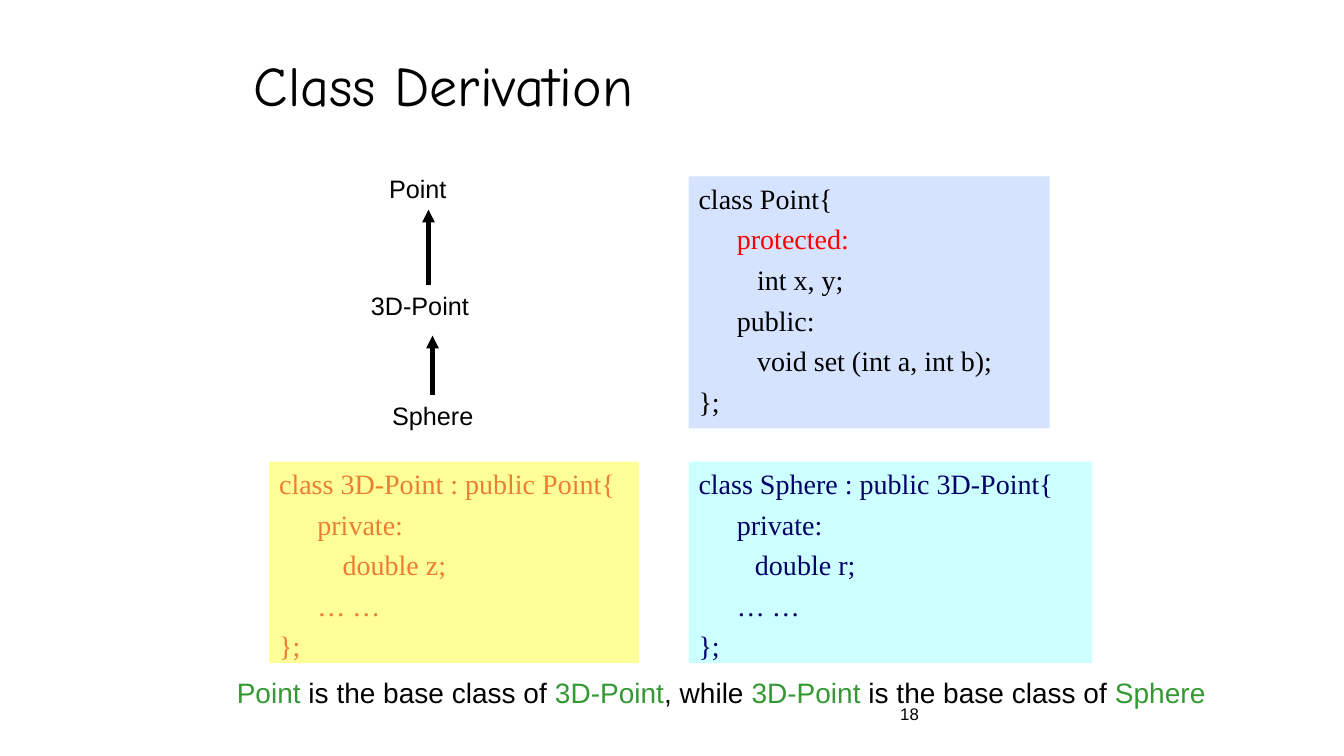
from lxml import etree
from pptx import Presentation
from pptx import util as u
from pptx.dml.color import RGBColor
from pptx.enum import shapes, text
from pptx.oxml.ns import qn

BLACK, RED, GREEN, ORANGE, NAVY = "000000", "FF0000", "339933", "ED7D31", "000066"


def color(value):
    return RGBColor.from_string(value)


def write(paragraph, content, font="Arial", size=18, fill=BLACK):
    run = paragraph.add_run()
    run.text = content
    run.font.name = font
    run.font.size = u.Pt(size)
    run.font.color.rgb = color(fill)


class Deck:
    """Holds the slide style and adds each kind of element to the current slide."""

    code_font = "Times New Roman"
    code_size = 20
    code_gap = u.Pt(5)
    arrow_width = u.Pt(3)

    def __init__(self, presentation):
        self.slide = presentation.slides.add_slide(presentation.slide_layouts[6])

    def label(self, box, runs, wrap=False, middle=False, spacing=None, **style):
        shape = self.slide.shapes.add_textbox(*map(u.Inches, box))
        frame = shape.text_frame
        frame.word_wrap = wrap
        frame.vertical_anchor = text.MSO_ANCHOR.MIDDLE if middle else text.MSO_ANCHOR.TOP
        paragraph = frame.paragraphs[0]
        if spacing:
            paragraph.line_spacing = spacing
        for content, fill in runs:
            write(paragraph, content, fill=fill, **style)

    def code(self, box, background, lines):
        shape = self.slide.shapes.add_shape(
            shapes.MSO_SHAPE.RECTANGLE, *map(u.Inches, box))
        shape.shadow.inherit = False
        shape.fill.solid()
        shape.fill.fore_color.rgb = color(background)
        shape.line.fill.background()
        frame = shape.text_frame
        frame.word_wrap = True
        frame.vertical_anchor = text.MSO_ANCHOR.TOP
        for index, (indent, content, fill) in enumerate(lines):
            paragraph = frame.add_paragraph() if index else frame.paragraphs[0]
            paragraph.alignment = text.PP_ALIGN.LEFT
            paragraph.space_before = self.code_gap
            paragraph._p.get_or_add_pPr().set("marL", str(u.Inches(indent)))
            write(paragraph, content, font=self.code_font, size=self.code_size, fill=fill)

    def arrow(self, x, tip, tail):
        connector = self.slide.shapes.add_connector(
            shapes.MSO_CONNECTOR.STRAIGHT, *map(u.Inches, (x, tip, x, tail)))
        connector.line.color.rgb = color(BLACK)
        connector.line.width = self.arrow_width
        line = connector.line._get_or_add_ln()
        etree.SubElement(line, qn("a:headEnd"), type="triangle")
        etree.SubElement(connector._element.spPr, qn("a:effectLst"))


def main():
    presentation = Presentation()
    presentation.slide_width = u.Inches(13.33)
    presentation.slide_height = u.Inches(7.5)
    deck = Deck(presentation)

    deck.label((8.83, 6.83, 2.08, 0.5), [("18", BLACK)], wrap=True, middle=True, size=12)
    deck.label((2.42, 0.5, 8.5, 0.75), [("Class Derivation", BLACK)], wrap=True,
               middle=True, spacing=0.9, font="Comic Neue", size=40)

    for name, left, top, width in (("Point", 3.76, 1.67, 0.78),
                                   ("3D-Point", 3.58, 2.83, 1.18),
                                   ("Sphere", 3.79, 3.92, 1.02)):
        deck.label((left, top, width, 0.4), [(name, BLACK)])
    deck.arrow(4.25, 2.08, 2.83)
    deck.arrow(4.29, 3.33, 3.92)

    section = 0.38
    deck.code((6.83, 1.75, 3.58, 2.5), "D5E3FF", [
        (0, "class Point{", BLACK),
        (section, "protected:", RED),
        (0.58, "int x, y;", BLACK),
        (section, "public:", BLACK),
        (0.58, "void set (int a, int b);", BLACK),
        (0, "};", BLACK)])

    for left, width, background, fill, heading, indent, member in (
            (2.67, 3.67, "FFFF99", ORANGE, "class 3D-Point : public Point{", 0.63, "double z;"),
            (6.83, 4, "CCFFFF", NAVY, "class Sphere : public 3D-Point{", 0.56, "double r;")):
        lines = ((0, heading), (section, "private:"), (indent, member),
                 (section, "… …"), (0, "};"))
        deck.code((left, 4.58, width, 2), background,
                  [(*line, fill) for line in lines])

    deck.label((2.25, 6.65, 9.88, 0.44), [
        ("Point", GREEN), (" is the base class of ", BLACK),
        ("3D-Point", GREEN), (", while ", BLACK),
        ("3D-Point", GREEN), (" is the base class of ", BLACK),
        ("Sphere", GREEN)], size=20)

    presentation.save("out.pptx")


main()
